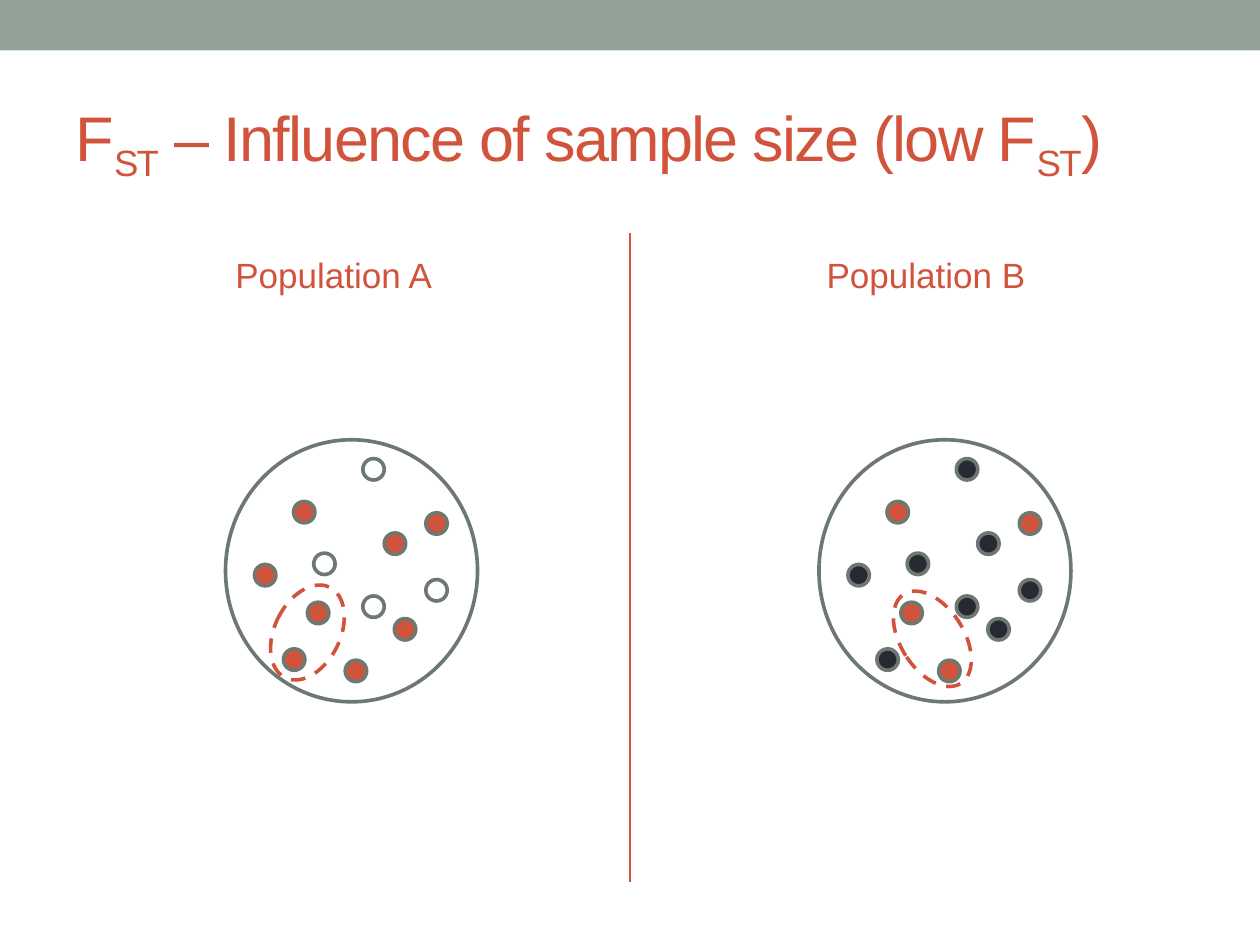
from pptx import Presentation
from pptx.dml.color import RGBColor
from pptx.enum.dml import MSO_LINE
from pptx.enum.shapes import MSO_CONNECTOR, MSO_SHAPE
from pptx.enum.text import MSO_ANCHOR, MSO_AUTO_SIZE, PP_ALIGN
from pptx.oxml.ns import qn
from pptx.util import Inches, Pt
from lxml import etree

OVAL, RECT = MSO_SHAPE.OVAL, MSO_SHAPE.RECTANGLE
STRAIGHT = MSO_CONNECTOR.STRAIGHT
DASH = MSO_LINE.DASH
MIDDLE = MSO_ANCHOR.MIDDLE
LEFT, CENTER = PP_ALIGN.LEFT, PP_ALIGN.CENTER
NO_FIT = MSO_AUTO_SIZE.NONE

THEME = {
    "font": "Arial",
    "title_size": 36,
    "label_size": 20,
    "outline_width": 2.08,
    "divider_width": 1.5,
    "band": "93A299",
    "accent": "D2533C",
    "outline": "6D7871",
    "red": "D2533C",
    "white": "FFFFFF",
    "dark": "292934",
}

TITLE = [
    ("F", False),
    ("ST", True),
    (" – Influence of sample size (low F", False),
    ("ST", True),
    (")", False),
]

ALLELE_OFFSETS = [
    (0.54, 0.49), (0.23, 0.99), (0.65, 1.29), (0.46, 1.66),
    (0.95, 1.75), (1.09, 0.15), (1.26, 0.74), (1.34, 1.42),
    (1.59, 1.11), (0.7, 0.9), (1.09, 1.24), (1.59, 0.58),
]

POPULATIONS = [
    {
        "label": "Population A", "label_left": 0.5, "circle_left": 1.79,
        "other": "white", "others": {5, 8, 9, 10},
        "sample": (2.18, 4.62, 0.52, 0.8), "tilt": 26.2,
    },
    {
        "label": "Population B", "label_left": 5.2, "circle_left": 6.5,
        "other": "dark", "others": {1, 3, 5, 6, 7, 8, 9, 10},
        "sample": (7.15, 4.65, 0.5, 0.84), "tilt": 327.4,
    },
]

CIRCLE_TOP, CIRCLE_WIDTH, CIRCLE_HEIGHT = 3.49, 2, 2.08
ALLELE_SIZE = 0.17


def color(name):
    return RGBColor.from_string(THEME[name])


def box(*lengths):
    return [Inches(length) for length in lengths]


def add_figure(slide, kind, place, fill=None, line=None):
    figure = slide.shapes.add_shape(kind, *box(*place))
    figure.shadow.inherit = False
    if fill:
        figure.fill.solid()
        figure.fill.fore_color.rgb = color(fill)
    else:
        figure.fill.background()
    if line:
        figure.line.color.rgb = color(line)
        figure.line.width = Pt(THEME["outline_width"])
    else:
        figure.line.fill.background()
    return figure


def style_run(run, size):
    run.font.name = THEME["font"]
    run.font.size = Pt(THEME[size])
    run.font.color.rgb = color("accent")


def add_title(slide):
    title = slide.shapes.title
    title.left, title.top, title.width, title.height = box(0.5, 0.58, 9, 1.08)
    frame = title.text_frame
    frame.auto_size = NO_FIT
    frame.vertical_anchor = MIDDLE
    paragraph = frame.paragraphs[0]
    paragraph.alignment = LEFT
    for text, subscript in TITLE:
        run = paragraph.add_run()
        run.text = text
        style_run(run, "title_size")
        properties = run.font._element
        properties.set("spc", "-100")
        if subscript:
            properties.set("baseline", "-25000")


def add_divider(slide):
    divider = slide.shapes.add_connector(STRAIGHT, *box(5, 1.85, 5, 7))
    divider.line.color.rgb = color("accent")
    divider.line.width = Pt(THEME["divider_width"])
    etree.SubElement(divider._element.spPr, qn("a:effectLst"))


def add_label(slide, population):
    label = slide.shapes.add_textbox(*box(population["label_left"], 1.83, 4.3, 0.7))
    frame = label.text_frame
    frame.word_wrap = True
    frame.vertical_anchor = MIDDLE
    frame.text = population["label"]
    paragraph = frame.paragraphs[0]
    paragraph.alignment = CENTER
    paragraph.space_before = Pt(4)
    style_run(paragraph.runs[0], "label_size")


def add_population(slide, population):
    add_label(slide, population)
    left = population["circle_left"]
    add_figure(slide, OVAL, (left, CIRCLE_TOP, CIRCLE_WIDTH, CIRCLE_HEIGHT), line="outline")
    for index, (dx, dy) in enumerate(ALLELE_OFFSETS):
        allele = population["other"] if index in population["others"] else "red"
        place = (left + dx, CIRCLE_TOP + dy, ALLELE_SIZE, ALLELE_SIZE)
        add_figure(slide, OVAL, place, allele, "outline")
    sample = add_figure(slide, OVAL, population["sample"], line="accent")
    sample.line.dash_style = DASH
    sample.rotation = population["tilt"]


def main():
    deck = Presentation()
    deck.slide_width, deck.slide_height = box(10, 7.5)
    slide = deck.slides.add_slide(deck.slide_layouts[5])
    add_figure(slide, RECT, (0, 0, 10, 0.4), "band")
    add_divider(slide)
    add_title(slide)
    for population in POPULATIONS:
        add_population(slide, population)
    deck.save("out.pptx")


if __name__ == "__main__":
    main()
